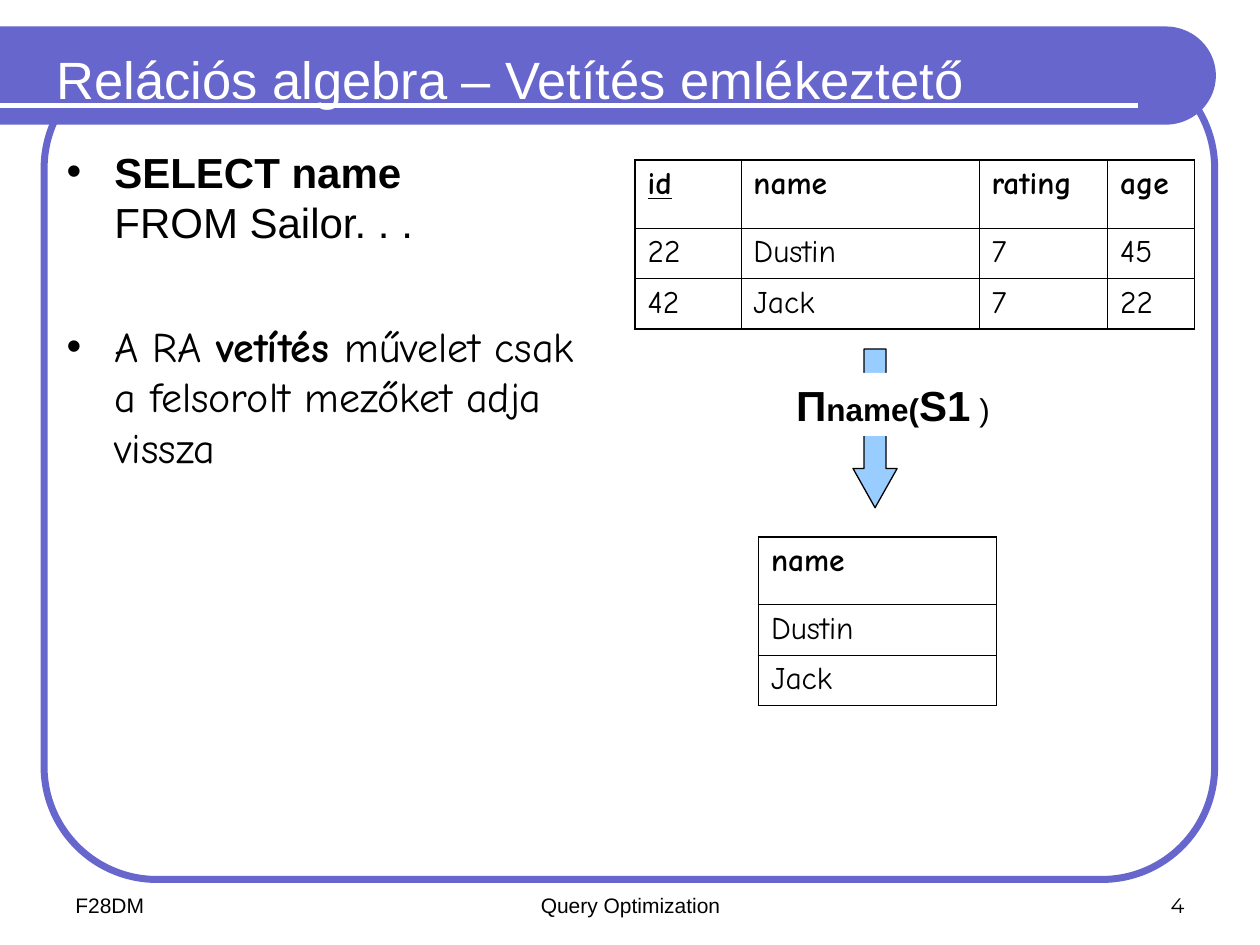
from math import cos, pi, sin

from lxml.etree import SubElement
from pptx import Presentation
from pptx.dml.color import RGBColor
from pptx.enum.shapes import MSO_CONNECTOR, MSO_SHAPE
from pptx.enum.text import MSO_ANCHOR, PP_ALIGN
from pptx.oxml import parse_xml
from pptx.oxml.ns import nsdecls, qn
from pptx.util import Inches, Pt

BLACK = RGBColor(0x00, 0x00, 0x00)
WHITE = RGBColor(0xFF, 0xFF, 0xFF)
PURPLE = RGBColor(0x66, 0x66, 0xCC)
SKY = RGBColor(0x99, 0xCC, 0xFF)

SANS = {"name": "Arial", "size": Pt(24), "bold": False, "color": BLACK}
SANS_BOLD = {**SANS, "bold": True}
COMIC = {**SANS, "name": "Comic Neue"}
COMIC_BOLD = {**COMIC, "bold": True}
CELL = {**COMIC, "size": Pt(18)}
HEAD = {**CELL, "bold": True}
KEY = {**HEAD, "underline": True}
TITLE = {**SANS, "size": Pt(30), "color": WHITE}
FOOT = {**SANS, "size": Pt(12)}

LABELS = [
    ((0.35, 0.25, 8.66, 0.74), "Relációs algebra – Vetítés emlékeztető", TITLE,
     PP_ALIGN.LEFT, MSO_ANCHOR.MIDDLE),
    ((0.5, 6.83, 2.33, 0.5), "F28DM", FOOT, PP_ALIGN.LEFT, MSO_ANCHOR.BOTTOM),
    ((3.42, 6.83, 3.17, 0.5), "Query Optimization", FOOT, PP_ALIGN.CENTER, MSO_ANCHOR.BOTTOM),
    ((7.17, 6.83, 2.33, 0.5), "4", {**FOOT, "name": "Montserrat"},
     PP_ALIGN.RIGHT, MSO_ANCHOR.BOTTOM),
]
BULLETS = [
    (0, [("SELECT name", SANS_BOLD), ("\n", SANS), ("FROM Sailor. . .", SANS)]),
    (42, [("A RA ", COMIC), ("vetítés ", COMIC_BOLD),
          ("művelet csak a felsorolt mezőket adja vissza", COMIC)]),
]
FORMULA = [
    ("Π", SANS_BOLD),
    ("name(", {**SANS_BOLD, "size": Pt(18)}),
    ("S1", SANS_BOLD),
    (" )", {**SANS, "size": Pt(18)}),
]
SAILORS = [
    ["id", "name", "rating", "age"],
    ["22", "Dustin", "7", "45"],
    ["42", "Jack", "7", "22"],
]
NAMES = [[row[1]] for row in SAILORS[:]]
ROW_HEIGHTS = [0.54, 0.4, 0.4]
TABLES = [
    (5.04, 1.27, [0.84, 1.89, 1.02, 0.69], SAILORS),
    (6.02, 4.26, [1.89], NAMES),
]
OUTER, INNER = Pt(1.08), Pt(0.45)


def box(at):
    return [Inches(v) for v in at]


def write(p, runs):
    for text, style in runs:
        if text == "\n":
            p.add_line_break()
            continue
        r = p.add_run()
        r.text = text
        for key, value in style.items():
            if key == "color":
                r.font.color.rgb = value
            else:
                setattr(r.font, key, value)


def paint(sp, fill=None, line=None, width=0):
    sp.shadow.inherit = False
    if fill is None:
        sp.fill.background()
    else:
        sp.fill.solid()
        sp.fill.fore_color.rgb = fill
    if line is None:
        sp.line.fill.background()
    else:
        sp.line.color.rgb = line
        sp.line.width = Pt(width)


def add_frame(s):
    frame = s.shapes.add_shape(MSO_SHAPE.ROUNDED_RECTANGLE, *box((0.35, 0.44, 9.29, 6.54)))
    frame.adjustments[0] = 0.137
    paint(frame, line=PURPLE, width=4)

    steps = 48
    angles = [pi * (i / steps - 0.5) for i in range(steps + 1)]
    arc = [(Inches(9.25 + 0.4 * cos(a)), Inches(0.6 + 0.39 * sin(a))) for a in angles]
    builder = s.shapes.build_freeform(0, Inches(0.21))
    builder.add_line_segments(arc + [(0, Inches(0.99))], close=True)
    paint(builder.convert_to_shape(), PURPLE)

    rule = s.shapes.add_connector(MSO_CONNECTOR.STRAIGHT, *box((0, 0.84, 9.03, 0.84)))
    rule.line.color.rgb = WHITE
    rule.line.width = Pt(3)
    SubElement(rule._element.spPr, qn("a:effectLst"))


def add_label(s, at, text, style, align, anchor):
    tf = s.shapes.add_textbox(*box(at)).text_frame
    tf.word_wrap = True
    tf.vertical_anchor = anchor
    p = tf.paragraphs[0]
    p.alignment = align
    write(p, [(text, style)])


def add_bullets(s):
    tf = s.shapes.add_textbox(*box((0.43, 1.07, 4.44, 5.75))).text_frame
    tf.word_wrap = True
    tf.margin_top = Inches(0.09)
    for i, (gap, runs) in enumerate(BULLETS):
        p = tf.add_paragraph() if i else tf.paragraphs[0]
        if gap:
            p.space_before = Pt(gap)
        pPr = p._p.get_or_add_pPr()
        pPr.set("marL", str(Inches(0.38)))
        pPr.set("indent", str(-Inches(0.38)))
        color = SubElement(pPr, qn("a:buClr"))
        SubElement(color, qn("a:srgbClr"), val=str(BLACK))
        SubElement(pPr, qn("a:buFont"), typeface="Arial")
        SubElement(pPr, qn("a:buChar"), char="•")
        write(p, runs)


def set_borders(cell, edges):
    tcPr = cell._tc.get_or_add_tcPr()
    for i, (side, is_outer) in enumerate(edges.items()):
        width = OUTER if is_outer else INNER
        tcPr.insert(i, parse_xml(
            f'<a:ln{side} {nsdecls("a")} w="{width}"><a:solidFill>'
            f'<a:srgbClr val="{BLACK}"/></a:solidFill></a:ln{side}>'))


def add_grid(s, left, top, widths, rows):
    at = (left, top, sum(widths), sum(ROW_HEIGHTS))
    table = s.shapes.add_table(len(rows), len(widths), *box(at)).table
    table.first_row = table.horz_banding = False
    for column, width in zip(table.columns, widths):
        column.width = Inches(width)
    last_row, last_col = len(rows) - 1, len(widths) - 1
    for i, row in enumerate(rows):
        table.rows[i].height = Inches(ROW_HEIGHTS[i])
        for j, text in enumerate(row):
            cell = table.cell(i, j)
            cell.fill.background()
            set_borders(cell, {"L": j == 0, "R": j == last_col, "T": i == 0, "B": i == last_row})
            style = CELL if i else KEY if text == "id" else HEAD
            write(cell.text_frame.paragraphs[0], [(text, style)])


def add_projection(s):
    arrow = s.shapes.add_shape(MSO_SHAPE.DOWN_ARROW, *box((6.77, 2.77, 0.35, 1.26)))
    arrow.adjustments[0] = 0.5
    arrow.adjustments[1] = 0.889
    paint(arrow, SKY, BLACK, 0.75)
    formula = s.shapes.add_shape(MSO_SHAPE.RECTANGLE, *box((6.22, 2.96, 1.76, 0.5)))
    paint(formula, WHITE)
    tf = formula.text_frame
    tf.word_wrap = False
    tf.vertical_anchor = MSO_ANCHOR.TOP
    p = tf.paragraphs[0]
    p.alignment = PP_ALIGN.LEFT
    write(p, FORMULA)


def main():
    prs = Presentation()
    prs.slide_width, prs.slide_height = Inches(10), Inches(7.5)
    s = prs.slides.add_slide(prs.slide_layouts[6])
    add_frame(s)
    for label in LABELS:
        add_label(s, *label)
    add_bullets(s)
    for grid in TABLES:
        add_grid(s, *grid)
    add_projection(s)
    prs.save("out.pptx")


if __name__ == "__main__":
    main()
